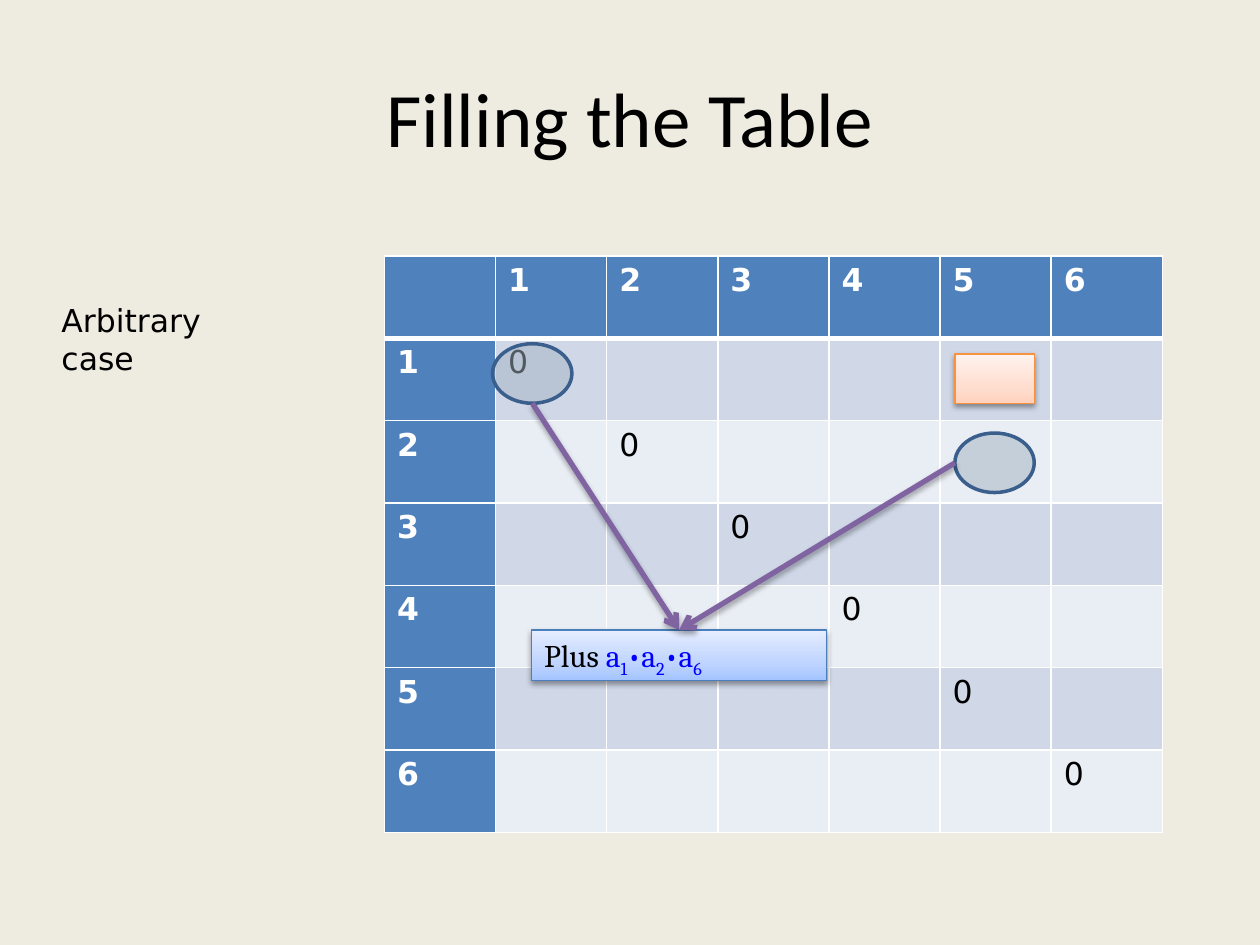
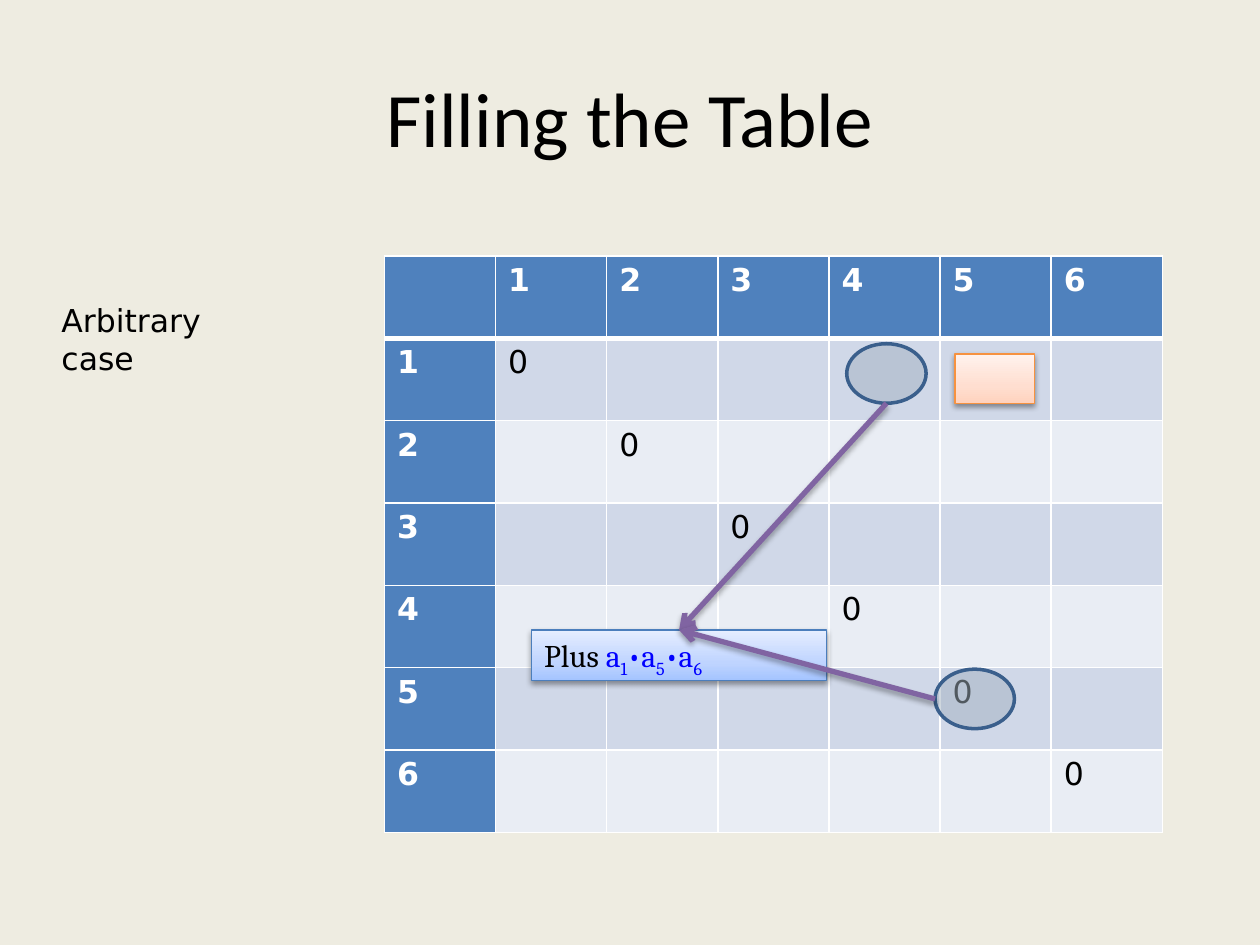
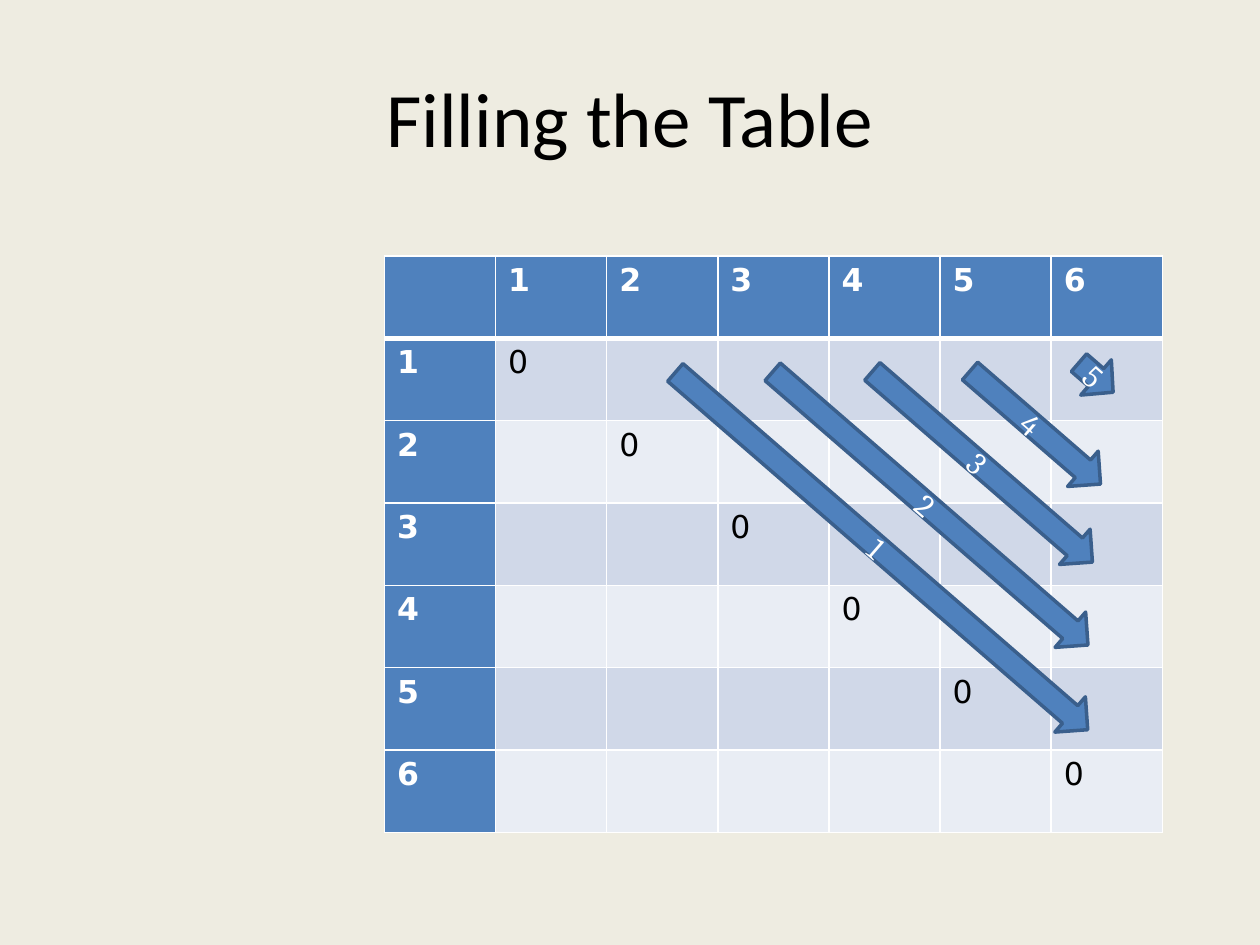
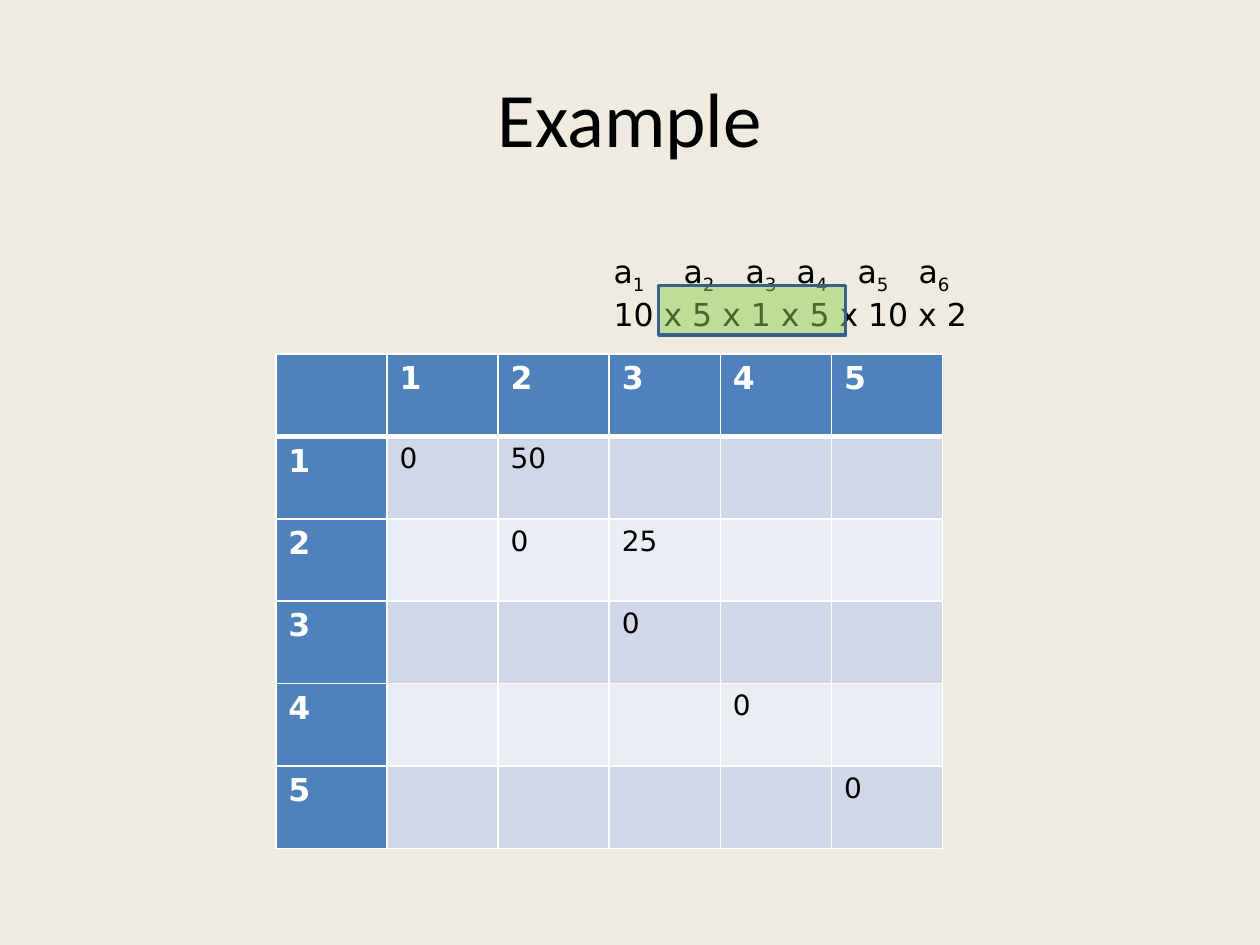
from copy import deepcopy
from dataclasses import dataclass

from pptx import Presentation
from pptx.dml.color import RGBColor
from pptx.enum.shapes import MSO_CONNECTOR, MSO_SHAPE
from pptx.enum.text import MSO_ANCHOR, PP_ALIGN
from pptx.oxml import parse_xml
from pptx.oxml.ns import nsdecls, qn
from pptx.util import Cm, Pt


@dataclass(frozen=True)
class Theme:
    background: str = "EEECE1"
    black: str = "000000"
    white: str = "FFFFFF"
    header: str = "4F81BD"
    bands: tuple = ("E9EDF4", "D0D8E8")
    outline: str = "3A5F8C"
    marker: str = "A3B2C1"
    highlight: str = "92D050"
    arrow: str = "8064A2"
    formula: str = "0000FF"
    target_line: str = "F69240"
    target_fill: tuple = ("FFD2BD", "FFDED0", "FFF2ED")
    sum_line: str = "4B7EBC"
    sum_fill: tuple = ("A4C4FF", "BFD4FF", "E6EEFF")
    title_font: str = "Calibri"
    body_font: str = "DejaVu Sans"
    shape_font: str = "Cambria"
    title_size: int = 44
    body_size: int = 18
    small_size: int = 16


THEME = Theme()
SHADOW = (
    f'<a:effectLst {nsdecls("a")}><a:outerShdw blurRad="40000" dist="%d" dir="5400000" rotWithShape="0">'
    '<a:srgbClr val="000000"><a:alpha val="%d"/></a:srgbClr></a:outerShdw></a:effectLst>'
)
BORDER = f'<a:%s {nsdecls("a")} w="%d"><a:solidFill><a:srgbClr val="%s"/></a:solidFill></a:%s>'


def style_shape(shape, fill, line, width, alpha=None):
    """Fill with one colour, or with three gradient colours and a shadow."""
    shape.line.color.rgb = RGBColor.from_string(line)
    shape.line.width = Pt(width)
    if isinstance(fill, tuple):
        shape.fill.gradient()
        shape.fill.gradient_angle = 90
        stop_list = shape._element.spPr.find(".//" + qn("a:gsLst"))
        stop_list.insert(1, deepcopy(stop_list[0]))
        for stop, color, position in zip(shape.fill.gradient_stops, fill, (0, 0.35, 1)):
            stop.color.rgb = RGBColor.from_string(color)
            stop.position = position
        shape._element.spPr.append(parse_xml(SHADOW % (20000, 38000)))
        return
    shape.shadow.inherit = False
    shape.fill.solid()
    shape.fill.fore_color.rgb = RGBColor.from_string(fill)
    if alpha:
        color = shape._element.spPr.find(qn("a:solidFill"))[0]
        color.append(parse_xml(f'<a:alpha {nsdecls("a")} val="{alpha * 1000}"/>'))


def format_text(para, font, color, size=THEME.body_size, bold=False, joiner="", indices=""):
    """Add the terms a1, a2, ... if any, then format every run that has no colour yet."""
    for number, index in enumerate(indices):
        para.add_run().text = (joiner if number else "") + "a"
        subscript = para.add_run()
        subscript.text = index
        subscript._r.get_or_add_rPr().set("baseline", "-25000")
    for span in para.runs:
        if span.font.size is None:
            span.font.name = font
            span.font.size = Pt(size)
            span.font.bold = bold
            span.font.color.rgb = RGBColor.from_string(color)


deck = Presentation()
deck.slide_width, deck.slide_height = Cm(25.4), Cm(19.05)
deck.slide_master.background.fill.solid()
deck.slide_master.background.fill.fore_color.rgb = RGBColor.from_string(THEME.background)

# Title and table of every slide: title, matrix count, left, top, cell size, extra values
COLUMN, ROW = 2.24, 1.66
filling = ("Filling the Table", 6, 7.75, 5.16, THEME.body_size, {})
example = ("Example", 5, 5.56, 7.14, THEME.small_size, {(1, 2): "50", (2, 3): "25"})
pages = []
for title, count, left, top, value_size, values in (filling, filling, filling, example):
    page = deck.slides.add_slide(deck.slide_layouts[5])
    pages.append(page)
    heading = page.shapes.title
    heading.left, heading.top, heading.width, heading.height = Cm(1.27), Cm(0.76), Cm(22.86), Cm(3.18)
    heading.text_frame.text = title
    heading.text_frame.vertical_anchor = MSO_ANCHOR.MIDDLE
    heading.text_frame.paragraphs[0].alignment = PP_ALIGN.CENTER
    format_text(heading.text_frame.paragraphs[0], THEME.title_font, THEME.black, THEME.title_size)

    side = count + 1
    table = page.shapes.add_table(side, side, Cm(left), Cm(top), Cm(COLUMN * side), Cm(ROW * side)).table
    table.first_col = True
    for index in range(side):
        table.columns[index].width = Cm(COLUMN)
        table.rows[index].height = Cm(ROW)
    for row in range(side):
        for column in range(side):
            cell = table.cell(row, column)
            is_header = row == 0 or column == 0
            if is_header:
                cell.text = str(row + column) if row + column else ""
            else:
                cell.text = "0" if row == column else values.get((row, column), "")
            format_text(
                cell.text_frame.paragraphs[0],
                THEME.body_font,
                THEME.white if is_header else THEME.black,
                THEME.body_size if is_header else value_size,
                bold=is_header,
            )
            for edge in ("lnL", "lnR", "lnT", "lnB"):
                below_header = (row, edge) in ((0, "lnB"), (1, "lnT"))
                width = Pt(3 if below_header else 1)
                cell._tc.get_or_add_tcPr().append(parse_xml(BORDER % (edge, width, THEME.white, edge)))
            cell.fill.solid()
            cell.fill.fore_color.rgb = RGBColor.from_string(THEME.header if is_header else THEME.bands[row % 2])

# Slides 1 and 2: two known cells feed the target cell
MARKER_WIDTH, MARKER_HEIGHT = 1.6, 1.2
cases = (
    ("126", (9.93, 6.93), (19.25, 8.73)),
    ("156", (17.07, 6.93), (18.85, 13.49)),
)
for page, (indices, first, second) in zip(pages, cases):
    note = page.shapes.add_textbox(Cm(0.99), Cm(5.94), Cm(4.78), Cm(1.8))
    note.text_frame.word_wrap = True
    note.text_frame.text = "Arbitrary case"
    format_text(note.text_frame.paragraphs[0], THEME.body_font, THEME.black)

    target = page.shapes.add_shape(MSO_SHAPE.RECTANGLE, Cm(19.25), Cm(7.14), Cm(1.6), Cm(1))
    style_shape(target, THEME.target_fill, THEME.target_line, 0.75)
    for left, top in (first, second):
        marker = page.shapes.add_shape(MSO_SHAPE.OVAL, Cm(left), Cm(top), Cm(MARKER_WIDTH), Cm(MARKER_HEIGHT))
        style_shape(marker, THEME.marker, THEME.outline, 2, alpha=50)

    sum_box = page.shapes.add_shape(MSO_SHAPE.RECTANGLE, Cm(10.72), Cm(12.7), Cm(5.94), Cm(1.02))
    style_shape(sum_box, THEME.sum_fill, THEME.sum_line, 0.75)
    sum_box.text_frame.vertical_anchor = MSO_ANCHOR.TOP
    sum_box.text_frame.text = "Plus "
    para = sum_box.text_frame.paragraphs[0]
    para.alignment = PP_ALIGN.LEFT
    format_text(para, THEME.shape_font, THEME.black)
    format_text(para, THEME.shape_font, THEME.formula, joiner="•", indices=indices)

    # Arrows leave the first marker at its bottom and the second at its left
    starts = (
        (first[0] + MARKER_WIDTH / 2, first[1] + MARKER_HEIGHT),
        (second[0], second[1] + MARKER_HEIGHT / 2),
    )
    for x, y in starts:
        arrow = page.shapes.add_connector(MSO_CONNECTOR.STRAIGHT, Cm(x), Cm(y), Cm(13.69), Cm(12.7))
        arrow.end_connect(sum_box, 0)
        arrow.line.color.rgb = RGBColor.from_string(THEME.arrow)
        arrow.line.width = Pt(3)
        arrow.line._get_or_add_ln().append(parse_xml(f'<a:tailEnd {nsdecls("a")} type="arrow"/>'))
        arrow._element.spPr.append(parse_xml(SHADOW % (23000, 35000)))

# Slide 3: the order in which the diagonals are filled
diagonals = (
    (12.27, 10.64, 11),
    (14.55, 9.78, 8.41),
    (16.87, 8.94, 5.87),
    (19.13, 8.15, 3.48),
    (21.64, 7.14, 0.91),
)
for number, (left, top, length) in enumerate(diagonals, start=1):
    diagonal = pages[2].shapes.add_shape(MSO_SHAPE.RIGHT_ARROW, Cm(left), Cm(top), Cm(length), Cm(0.94))
    diagonal.rotation = 40.9
    style_shape(diagonal, THEME.header, THEME.outline, 2)
    diagonal.text_frame.text = str(number)
    diagonal.text_frame.vertical_anchor = MSO_ANCHOR.MIDDLE
    diagonal.text_frame.paragraphs[0].alignment = PP_ALIGN.CENTER
    format_text(diagonal.text_frame.paragraphs[0], THEME.shape_font, THEME.white)

# Slide 4: the dimensions, with the current product highlighted
dimensions = pages[3].shapes.add_textbox(Cm(12.12), Cm(4.95), Cm(12.7), Cm(1.8))
dimensions.text_frame.word_wrap = True
names = dimensions.text_frame.paragraphs[0]
tab_list = parse_xml(f'<a:tabLst {nsdecls("a")}/>')
for position in (1.41, 2.66, 3.69, 4.92, 6.15):
    tab_list.append(parse_xml(f'<a:tab {nsdecls("a")} pos="{Cm(position)}" algn="l"/>'))
names._p.get_or_add_pPr().append(tab_list)
format_text(names, THEME.body_font, THEME.black, joiner="\t", indices="123456")
sizes = dimensions.text_frame.add_paragraph()
sizes.text = "10 x 5 x 1 x 5 x 10 x 2"
format_text(sizes, THEME.body_font, THEME.black)

highlight = pages[3].shapes.add_shape(MSO_SHAPE.RECTANGLE, Cm(13.28), Cm(5.76), Cm(3.77), Cm(1))
style_shape(highlight, THEME.highlight, THEME.outline, 2, alpha=50)

deck.save("out.pptx")
